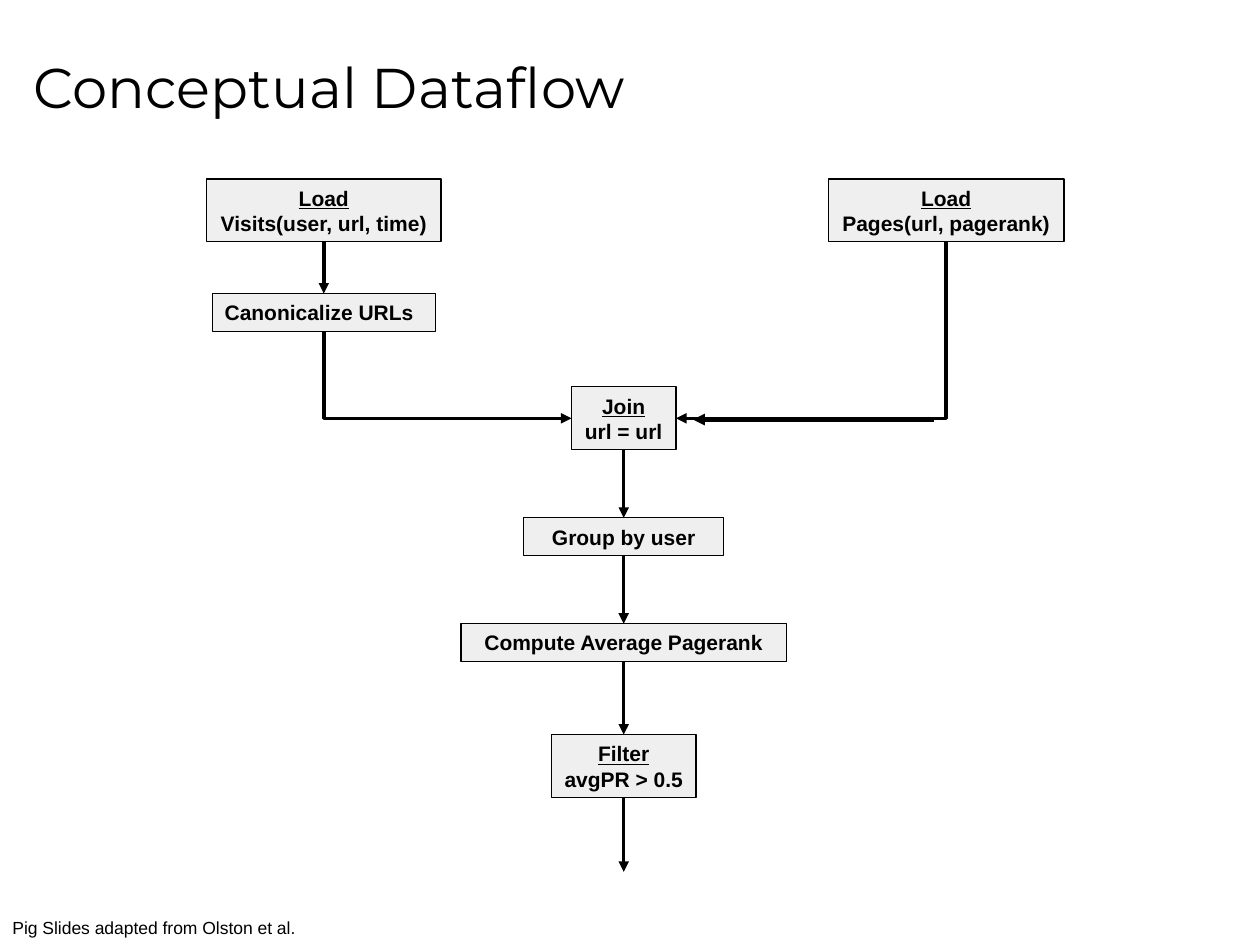
from pptx import Presentation
from pptx.dml.color import RGBColor
from pptx.enum.shapes import MSO_CONNECTOR, MSO_SHAPE
from pptx.enum.text import MSO_ANCHOR, MSO_AUTO_SIZE, PP_ALIGN
from pptx.oxml.ns import qn
from pptx.util import Inches, Pt
from lxml import etree

STRAIGHT, ELBOW = MSO_CONNECTOR.STRAIGHT, MSO_CONNECTOR.ELBOW
LEFT, CENTER = PP_ALIGN.LEFT, PP_ALIGN.CENTER
TOP_SITE, LEFT_SITE, BOTTOM_SITE, RIGHT_SITE = range(4)
BLACK, GRAY = "000000", "EFEFEF"
LINE_HEIGHT, PADDING = 0.2, 0.1

VISITS_X, MAIN_X, PAGES_X = 2.57, 4.95, 7.51

# name: (center x, top, width, alignment, lines); the first of two lines is underlined
STEPS = {
    "canonicalize": (VISITS_X, 2.33, 1.77, LEFT, ["Canonicalize URLs"]),
    "join": (MAIN_X, 3.07, 0.83, CENTER, ["Join", "url = url"]),
    "group": (MAIN_X, 4.11, 1.59, CENTER, ["Group by user"]),
    "average": (MAIN_X, 4.95, 2.58, CENTER, ["Compute Average Pagerank"]),
    "filter": (MAIN_X, 5.83, 1.15, CENTER, ["Filter", "avgPR > 0.5"]),
    "pages": (PAGES_X, 1.42, 1.87, CENTER, ["Load", "Pages(url, pagerank)"]),
    "visits": (VISITS_X, 1.42, 1.86, CENTER, ["Load", "Visits(user, url, time)"]),
}
DOWNWARD = [("visits", "canonicalize"), ("join", "group"),
            ("group", "average"), ("average", "filter")]
INTO_JOIN = [("pages", RIGHT_SITE), ("canonicalize", LEFT_SITE)]


def color(value):
    return RGBColor.from_string(value)


def style_font(font, name, size, bold=False):
    font.name, font.size, font.bold = name, Pt(size), bold
    font.color.rgb = color(BLACK)


def add_text(page, left, top, width, height, text, name, size):
    box = page.shapes.add_textbox(*map(Inches, (left, top, width, height)))
    frame = box.text_frame
    frame.word_wrap = True
    frame.text = text
    style_font(frame.paragraphs[0].runs[0].font, name, size)
    return frame


def add_step(page, center, top, width, alignment, lines):
    height = LINE_HEIGHT * len(lines) + PADDING
    box = page.shapes.add_shape(MSO_SHAPE.RECTANGLE, Inches(center - width / 2),
                                Inches(top), Inches(width), Inches(height))
    box.shadow.inherit = False
    box.fill.solid()
    box.fill.fore_color.rgb = color(GRAY)
    box.line.color.rgb = color(BLACK)
    box.line.width = Pt(0.75)
    frame = box.text_frame
    frame.text = "\n".join(lines)
    frame.word_wrap = len(lines) == 1
    frame.auto_size = MSO_AUTO_SIZE.SHAPE_TO_FIT_TEXT
    for index, para in enumerate(frame.paragraphs):
        para.alignment = alignment
        span = para.runs[0]
        style_font(span.font, "Arial", 12, bold=True)
        span.font.underline = len(lines) > 1 and index == 0
    return box


def add_arrow(page, kind, start=(0, 0), end=(0, 0), weight=2):
    arrow = page.shapes.add_connector(kind, *map(Inches, start + end))
    arrow.line.color.rgb = color(BLACK)
    arrow.line.width = Pt(weight)
    etree.SubElement(arrow.line._get_or_add_ln(), qn("a:tailEnd"), type="triangle")
    etree.SubElement(arrow._element.spPr, qn("a:effectLst"))
    return arrow


def turn_down_then_across(arrow):
    """Make an elbow connector leave vertically and arrive horizontally with one bend."""
    x1, y1, x2, y2 = arrow.begin_x, arrow.begin_y, arrow.end_x, arrow.end_y
    run, drop = abs(x2 - x1), y2 - y1
    properties = arrow._element.spPr
    properties.find(qn("a:prstGeom")).set("prst", "bentConnector2")
    frame = properties.find(qn("a:xfrm"))
    for flip in ("flipH", "flipV"):
        frame.attrib.pop(flip, None)
    if x2 > x1:
        frame.set("flipH", "1")
    frame.set("rot", str((270 if x2 > x1 else 90) * 60000))
    arrow.left, arrow.top = (x1 + x2 - drop) // 2, (y1 + y2 - run) // 2
    arrow.width, arrow.height = drop, run


def main():
    deck = Presentation()
    deck.slide_width, deck.slide_height = Inches(10), Inches(7.5)
    page = deck.slides.add_slide(deck.slide_layouts[6])

    add_arrow(page, STRAIGHT, (7.41, 3.33), (5.5, 3.33), 2.25)
    title = add_text(page, 0.17, 0.12, 9.5, 1.12, "Conceptual Dataflow", "Montserrat", 32)
    title.vertical_anchor = MSO_ANCHOR.MIDDLE

    boxes = {name: add_step(page, *step) for name, step in STEPS.items()}
    for source, side in INTO_JOIN:
        arrow = add_arrow(page, ELBOW)
        arrow.begin_connect(boxes[source], BOTTOM_SITE)
        arrow.end_connect(boxes["join"], side)
        turn_down_then_across(arrow)
    for source, target in DOWNWARD:
        arrow = add_arrow(page, STRAIGHT)
        arrow.begin_connect(boxes[source], BOTTOM_SITE)
        arrow.end_connect(boxes[target], TOP_SITE)
    output = add_arrow(page, STRAIGHT, (MAIN_X, 6.34), (MAIN_X, 6.92))
    output.begin_connect(boxes["filter"], BOTTOM_SITE)

    add_text(page, 0, 7.23, 3.75, 0.27, "Pig Slides adapted from Olston et al.", "Arial", 10)
    deck.save("out.pptx")


if __name__ == "__main__":
    main()
